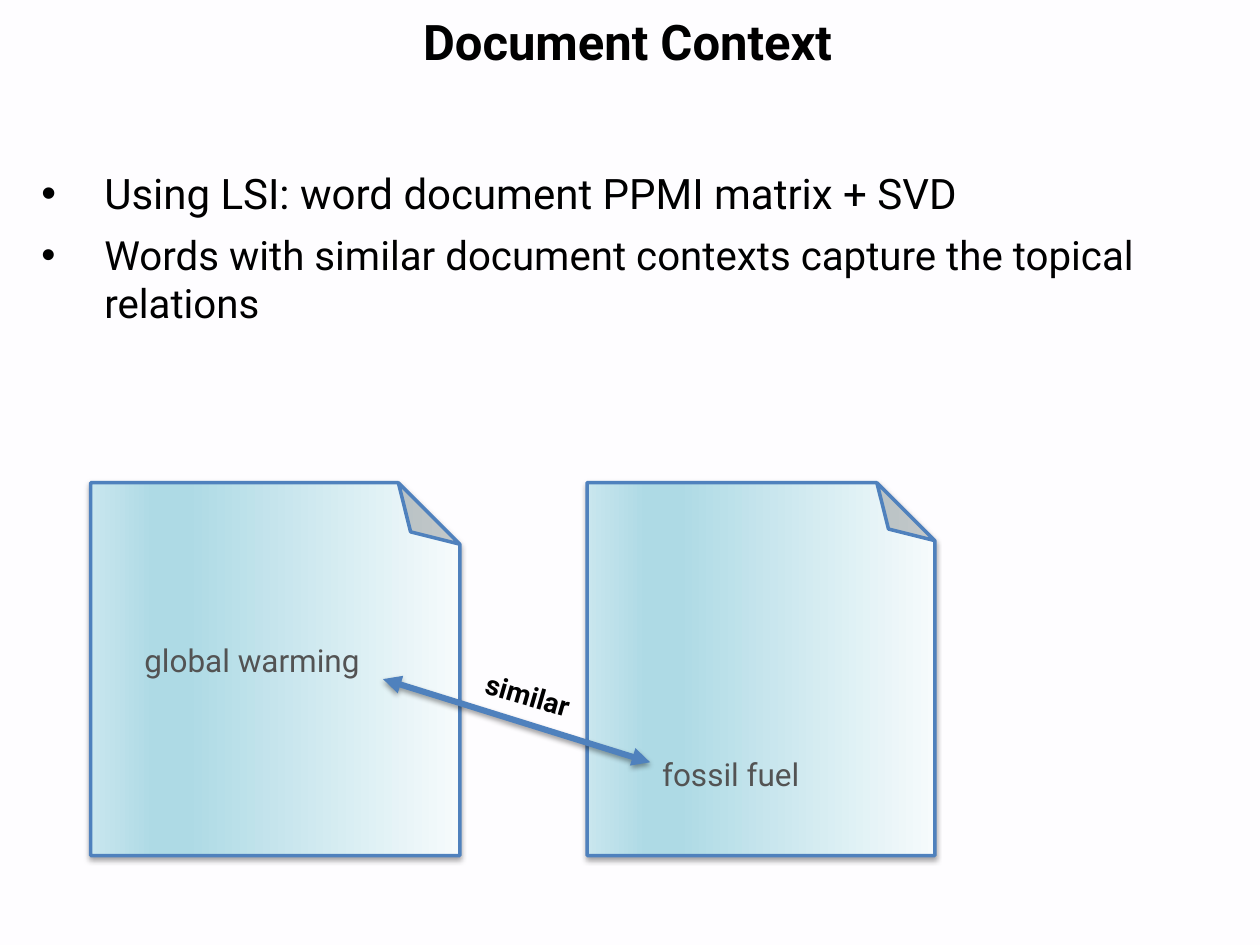
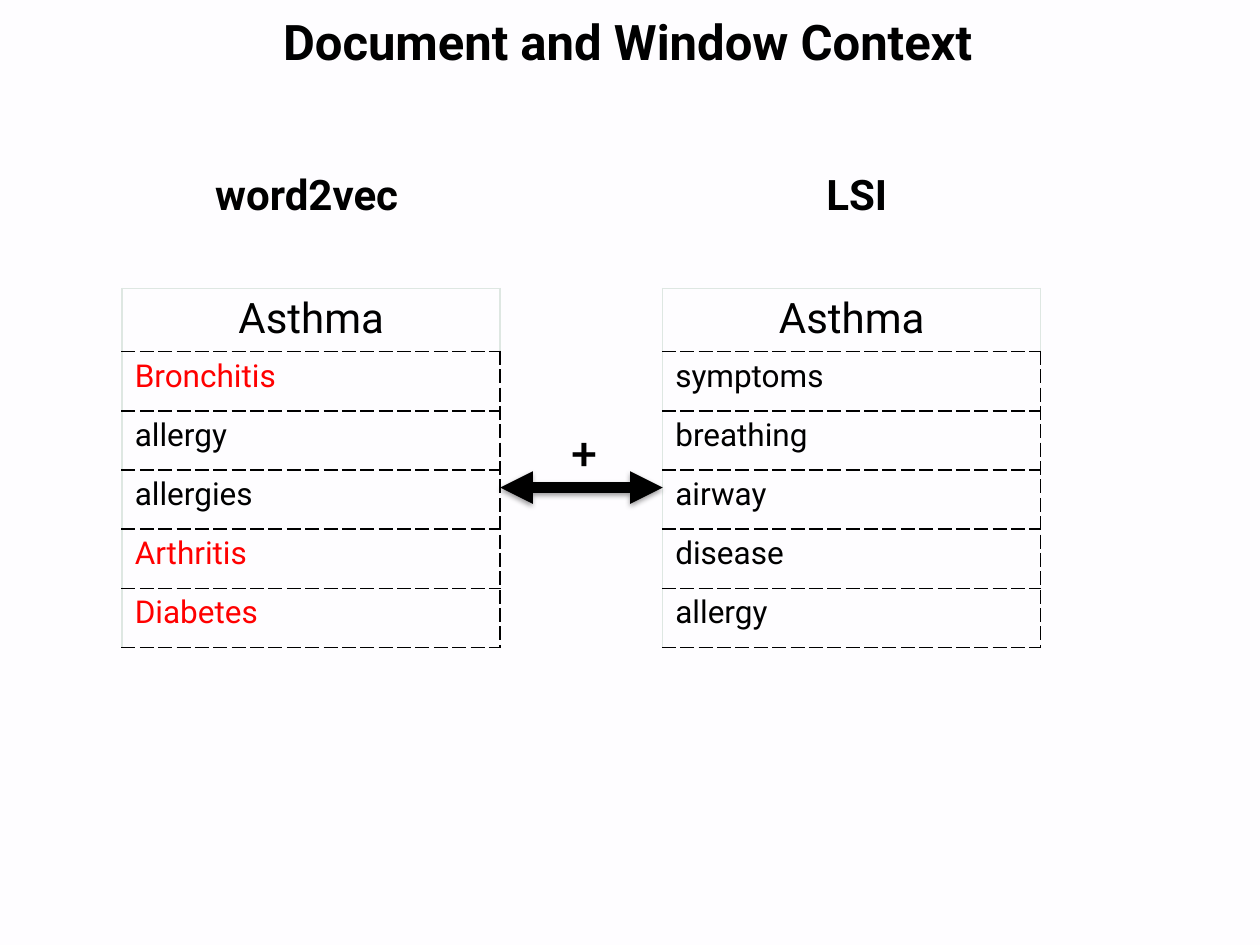
from lxml import etree
from pptx import Presentation
from pptx.dml.color import RGBColor
from pptx.enum.shapes import MSO_CONNECTOR, MSO_SHAPE
from pptx.enum.text import MSO_ANCHOR, PP_ALIGN
from pptx.oxml import parse_xml
from pptx.oxml.ns import nsdecls, qn
from pptx.util import Inches, Pt

FOLDED = MSO_SHAPE.FOLDED_CORNER
STRAIGHT = MSO_CONNECTOR.STRAIGHT
TOP, MIDDLE = MSO_ANCHOR.TOP, MSO_ANCHOR.MIDDLE
LEFT, CENTER = PP_ALIGN.LEFT, PP_ALIGN.CENTER

COLS, ROWS = 100, 75
WIDTH, HEIGHT = Inches(10), Inches(7.5)
FONT = "Roboto"
BACKGROUND, BLACK, GREY, RED = "FEFDFF", "000000", "535353", "FF0000"
BLUE, PALE = "4F81BD", "DEE7E2"
PAGE_STOPS = [(0, "F6FBFC"), (74, "AEDAE5"), (83, "AEDAE5"), (100, "C9E6EE")]


def rgb(value):
    """Turn a hex string into a colour."""
    return RGBColor.from_string(value)


def grid(col, row, cols, rows):
    """Turn grid columns and rows into left, top, width and height."""
    return (round(WIDTH * col / COLS), round(HEIGHT * row / ROWS),
            round(WIDTH * cols / COLS), round(HEIGHT * rows / ROWS))


def write(p, text, size=18, color=BLACK, bold=False, font=FONT, align=LEFT):
    """Put one formatted run into a paragraph."""
    p.alignment = align
    r = p.add_run()
    r.text = text
    r.font.size, r.font.bold, r.font.name = Pt(size), bold, font
    r.font.color.rgb = rgb(color)


def add_text(s, text, box, rotation=0, wrap=False, anchor=TOP, **style):
    """Add a text box with one paragraph."""
    sp = s.shapes.add_textbox(*grid(*box))
    sp.rotation = rotation
    tf = sp.text_frame
    tf.word_wrap, tf.vertical_anchor = wrap, anchor
    write(tf.paragraphs[0], text, **style)


def add_bullets(s, items, box):
    """Add a bulleted list of (text, size) items."""
    tf = s.shapes.add_textbox(*grid(*box)).text_frame
    tf.word_wrap = True
    for i, (text, size) in enumerate(items):
        p = tf.add_paragraph() if i else tf.paragraphs[0]
        pPr = p._p.get_or_add_pPr()
        pPr.set("marL", str(Inches(0.5)))
        pPr.set("indent", str(-Inches(0.5)))
        etree.SubElement(pPr, qn("a:buFont")).set("typeface", "Arial")
        etree.SubElement(pPr, qn("a:buChar")).set("char", "•")
        if i:
            p.space_before = Pt(7)
        write(p, text, size=size)


def add_shadow(sp, alpha, distance):
    """Give a shape a soft shadow straight below it."""
    sp._element.spPr.append(parse_xml(
        f'<a:effectLst {nsdecls("a")}><a:outerShdw blurRad="{Pt(3)}" '
        f'dist="{Pt(distance)}" dir="5400000" rotWithShape="0">'
        f'<a:srgbClr val="{BLACK}"><a:alpha val="{alpha * 1000}"/></a:srgbClr>'
        '</a:outerShdw></a:effectLst>'))


def add_page(s, col, row, cols, rows):
    """Add a document page whose top right corner is folded."""
    shift = (cols - rows) / 2
    sp = s.shapes.add_shape(FOLDED, *grid(col + shift, row - shift, rows, cols))
    sp.rotation = 270
    stops = "".join(f'<a:gs pos="{pos * 1000}"><a:srgbClr val="{color}"/></a:gs>'
                    for pos, color in PAGE_STOPS)
    sp._element.spPr.append(parse_xml(
        f'<a:gradFill {nsdecls("a")} rotWithShape="1"><a:gsLst>{stops}</a:gsLst>'
        '<a:lin ang="16200000" scaled="0"/></a:gradFill>'))
    sp.line.color.rgb, sp.line.width = rgb(BLUE), Pt(2)
    add_shadow(sp, 35, 1.8)


def add_double_arrow(s, col, row, cols, rows, color, width):
    """Add a line with an arrowhead at both ends."""
    left, top, w, h = grid(col, row, cols, rows)
    line = s.shapes.add_connector(STRAIGHT, left + w, top + h, left, top)
    line.line.color.rgb, line.line.width = rgb(color), Pt(width)
    ln = line.line._get_or_add_ln()
    for end in ("a:headEnd", "a:tailEnd"):
        etree.SubElement(ln, qn(end)).set("type", "triangle")
    add_shadow(line, 38, 1.6)


def set_borders(cell, **colors):
    """Draw cell borders, dashed where they are black."""
    tcPr = cell._tc.get_or_add_tcPr()
    for i, side in enumerate("LRTB"):
        color = colors[side]
        dash = "sysDash" if color == BLACK else "solid"
        tcPr.insert(i, parse_xml(
            f'<a:ln{side} {nsdecls("a")} w="{Pt(1)}"><a:solidFill>'
            f'<a:srgbClr val="{color}"/></a:solidFill>'
            f'<a:prstDash val="{dash}"/></a:ln{side}>'))


def add_word_table(s, col, heading, words, marked=()):
    """Add a one-column table of words under a heading."""
    frame = s.shapes.add_table(len(words) + 1, 1, *grid(col, 22.9, 30, 28.6))
    table = frame.table
    table.first_row = table.horz_banding = False
    for i, text in enumerate([heading, *words]):
        table.rows[i].height = Inches(0.47 if i else 0.5)
        cell = table.cell(i, 0)
        cell.fill.background()
        p = cell.text_frame.paragraphs[0]
        if i:
            write(p, text, color=RED if text in marked else BLACK)
        else:
            write(p, text, size=24, align=CENTER)
        set_borders(cell, L=PALE, R=BLACK if i else PALE,
                    T=BLACK if i else PALE, B=BLACK)


def add_slide(prs, title):
    """Add a blank slide with the shared background and title."""
    s = prs.slides.add_slide(prs.slide_layouts[6])
    s.background.fill.solid()
    s.background.fill.fore_color.rgb = rgb(BACKGROUND)
    add_text(s, title, (1.4, 0.4, 96.8, 5.7), wrap=True,
             size=28, bold=True, align=CENTER)
    return s


def build_document_context(prs):
    """Build the slide on document contexts."""
    s = add_slide(prs, "Document Context")
    add_bullets(s, [
        ("Using LSI: word document PPMI matrix + SVD", 24),
        ("Words with similar document contexts capture the topical relations", 23),
    ], (2.3, 12.8, 93, 55))
    add_page(s, 46.6, 38.3, 27.6, 29.6)
    add_page(s, 7.2, 38.3, 29.3, 29.6)
    label = dict(anchor=MIDDLE, align=CENTER, wrap=True, color=GREY)
    add_text(s, "fossil fuel", (48, 59.4, 20, 4), **label)
    add_text(s, "global warming", (10, 50.4, 20, 4), **label)
    add_double_arrow(s, 30.4, 53.9, 21.2, 6.6, BLUE, 3.5)
    add_text(s, "similar", (37.5, 53.4, 9.3, 3.7), rotation=16.2,
             size=16, bold=True)


def build_combined_context(prs):
    """Build the slide that joins window and document contexts."""
    s = add_slide(prs, "Document and Window Context")
    add_word_table(s, 9.7, "Asthma",
                   ["Bronchitis", "allergy", "allergies", "Arthritis", "Diabetes"],
                   marked=("Bronchitis", "Arthritis", "Diabetes"))
    add_word_table(s, 52.6, "Asthma",
                   ["symptoms", "breathing", "airway", "disease", "allergy"])
    add_text(s, "word2vec", (16.1, 12.9, 17.6, 5), size=24, bold=True)
    add_text(s, "LSI", (64.6, 12.9, 7.2, 5), size=24, bold=True)
    add_double_arrow(s, 39.7, 38.7, 12.9, 0, BLACK, 6.25)
    add_text(s, "+", (44.4, 33, 4, 5.7), size=28, bold=True, font="Calibri")


def main():
    """Build and save the slides."""
    prs = Presentation()
    prs.slide_width, prs.slide_height = WIDTH, HEIGHT
    build_document_context(prs)
    build_combined_context(prs)
    prs.save("out.pptx")


if __name__ == "__main__":
    main()
